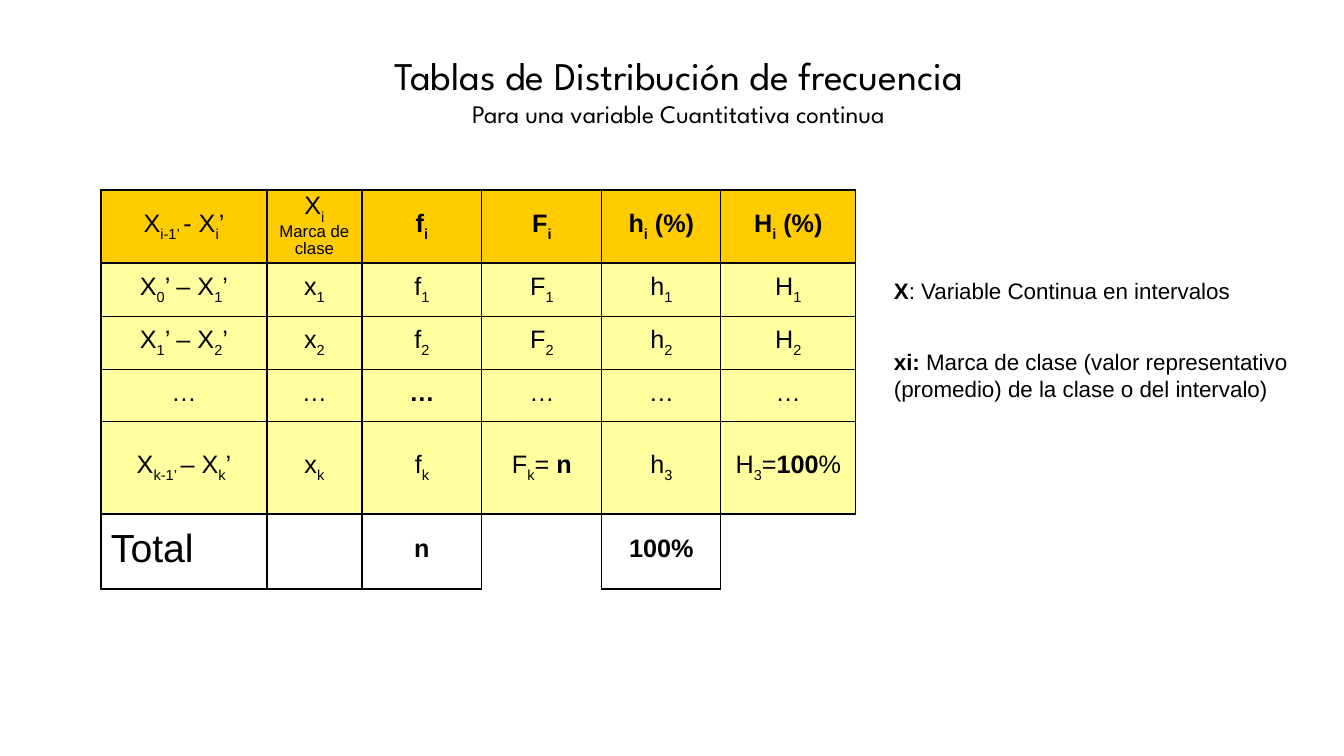
from dataclasses import dataclass

from lxml import etree
from pptx import Presentation
from pptx import util as u
from pptx.dml import color
from pptx.enum import text
from pptx.oxml import ns

PX = 914400 / 100.8  # EMU in one pixel


@dataclass(frozen=True)
class Theme:
    """Colours, fonts and type sizes of the slide."""
    ink: str = "000000"
    header: str = "FFCC00"
    body: str = "FFFF9F"
    title_font: str = "League Spartan"
    text_font: str = "Arial"
    title: int = 28
    subtitle: int = 18
    cell: int = 18
    label: int = 12
    total: int = 28
    note: int = 16
    thin: int = 1
    thick: int = 2


THEME = Theme()

# "|" separates runs; a leading "_" lowers a run, "*" makes it bold, "~" makes it small.
HEADER = ["X|_i-1’ |- X|_i|’", "X|_i\n~Marca de clase", "*f|_i", "*F|_i", "*h|_i| (%)", "*H|_i| (%)"]
CLASSES = [[f"X|_{n - 1}|’ – X|_{n}|’"] + [f"{symbol}|_{n}" for symbol in "xfFhH"] for n in (1, 2)]
DOTS = ["…", "…", "*…", "…", "…", "…"]
LAST_CLASS = ["X|_k-1’ |– X|_k|’", "x|_k", "f|_k", "F|_k|= |*n", "h|_3", "H|_3|=|*100|%"]
TOTALS = ["Total", "", "*n", "", "*100%", ""]
FREQUENCIES = [HEADER, *CLASSES, DOTS, LAST_CLASS, TOTALS]
COLUMN_WIDTHS = [166, 95, 120, 120, 119, 135]
ROW_HEIGHTS = [73, 53, 53, 52, 93, 75]
OPEN_COLUMNS = (3, 5)  # columns without a total


def px(length):
    """Turn pixels into EMU."""
    return u.Emu(round(length * PX))


def style(run, size, font=THEME.text_font, bold=False):
    """Give a run its type."""
    run.font.name, run.font.size, run.font.bold = font, u.Pt(size), bold
    run.font.color.rgb = color.RGBColor.from_string(THEME.ink)


def write_runs(paragraph, marked, size, bold=False):
    """Write marked text as formatted runs."""
    for piece in marked.split("|"):
        mark = piece[0] if piece[0] in "_*~" else ""
        run = paragraph.add_run()
        run.text = piece[len(mark):]
        style(run, THEME.label if mark == "~" else size, bold=bold or mark == "*")
        if mark == "_":
            run.font._element.set("baseline", "-30000")


def draw_borders(cell, widths):
    """Draw the cell's left, right, top and bottom edges; a width of 0 hides one."""
    properties = cell._tc.get_or_add_tcPr()
    for side, width in zip("LRTB", widths):
        edge = etree.SubElement(properties, ns.qn(f"a:ln{side}"), w=str(u.Pt(width)))
        if width:
            fill = etree.SubElement(edge, ns.qn("a:solidFill"))
            etree.SubElement(fill, ns.qn("a:srgbClr"), val=THEME.ink)
        else:
            etree.SubElement(edge, ns.qn("a:noFill"))


def edge_widths(row, column):
    """Return the edge widths of one table cell."""
    total_row = len(FREQUENCIES) - 1
    is_open = column in OPEN_COLUMNS
    right = bottom = top = THEME.thin
    if row == 0 or (row == total_row - 1 and not is_open):
        bottom = THEME.thick
    if row == 1 or (row == total_row and not is_open):
        top = THEME.thick
    if row == total_row and is_open:
        bottom = 0
        right = 0 if column == OPEN_COLUMNS[-1] else THEME.thin
    return THEME.thin, right, top, bottom


def fill_cell(cell, marked, row, column):
    """Write and format one table cell."""
    is_total = row == len(FREQUENCIES) - 1
    is_label = is_total and column == 0
    cell.vertical_anchor = text.MSO_ANCHOR.MIDDLE
    cell.margin_left = cell.margin_right = px(10)
    cell.margin_top, cell.margin_bottom = px(2), px(5)
    draw_borders(cell, edge_widths(row, column))
    if is_total:
        cell.fill.background()
    else:
        cell.fill.solid()
        cell.fill.fore_color.rgb = color.RGBColor.from_string(THEME.body if row else THEME.header)
    if not marked:
        return
    lines = marked.split("\n")
    for index, line in enumerate(lines):
        paragraph = cell.text_frame.add_paragraph() if index else cell.text_frame.paragraphs[0]
        paragraph.alignment = text.PP_ALIGN.LEFT if is_label else text.PP_ALIGN.CENTER
        paragraph.line_spacing = 0.93
        if is_label:
            paragraph.space_before = u.Pt(7)
        write_runs(paragraph, line, THEME.total if is_label else THEME.cell,
                   bold=row == 0 and line.startswith("*"))


def add_heading(slide, left, top, width, height):
    """Place the title and its subtitle in the title placeholder."""
    heading = slide.shapes.title
    heading.left, heading.top, heading.width, heading.height = map(px, (left, top, width, height))
    frame = heading.text_frame
    frame.text = "Tablas de Distribución de frecuencia\nPara una variable Cuantitativa continua"
    frame.auto_size = text.MSO_AUTO_SIZE.NONE
    frame.vertical_anchor = text.MSO_ANCHOR.MIDDLE
    for paragraph, size in zip(frame.paragraphs, (THEME.title, THEME.subtitle)):
        paragraph.alignment = text.PP_ALIGN.CENTER
        style(paragraph.runs[0], size, THEME.title_font)


def add_frequency_table(slide, left, top):
    """Place the frequency table with its top left corner at the given point."""
    box = map(px, (left, top, sum(COLUMN_WIDTHS), sum(ROW_HEIGHTS)))
    table = slide.shapes.add_table(len(ROW_HEIGHTS), len(COLUMN_WIDTHS), *box).table
    table.first_row = table.horz_banding = False
    for column, width in zip(table.columns, COLUMN_WIDTHS):
        column.width = px(width)
    for row, height in zip(table.rows, ROW_HEIGHTS):
        row.height = px(height)
    for row, entries in enumerate(FREQUENCIES):
        for column, marked in enumerate(entries):
            fill_cell(table.cell(row, column), marked, row, column)


def add_definitions(slide, left, top, width, height):
    """Place the definitions of the symbols in the given box."""
    frame = slide.shapes.add_textbox(*map(px, (left, top, width, height))).text_frame
    frame.word_wrap = True
    write_runs(frame.paragraphs[0], "*X|: Variable Continua en intervalos", THEME.note)
    class_mark = frame.add_paragraph()
    class_mark.space_before = u.Pt(31.5)
    write_runs(class_mark, "*xi: |Marca de clase (valor representativo (promedio) "
               "de la clase o del intervalo)", THEME.note)


def main():
    """Build and save the slide."""
    deck = Presentation()
    deck.slide_width, deck.slide_height = px(1344), px(756)
    slide = deck.slides.add_slide(deck.slide_layouts[5])
    add_frequency_table(slide, 101, 190)
    add_heading(slide, 221, 65, 915, 49)
    add_definitions(slide, 884, 272, 429, 136)
    deck.save("out.pptx")


main()
